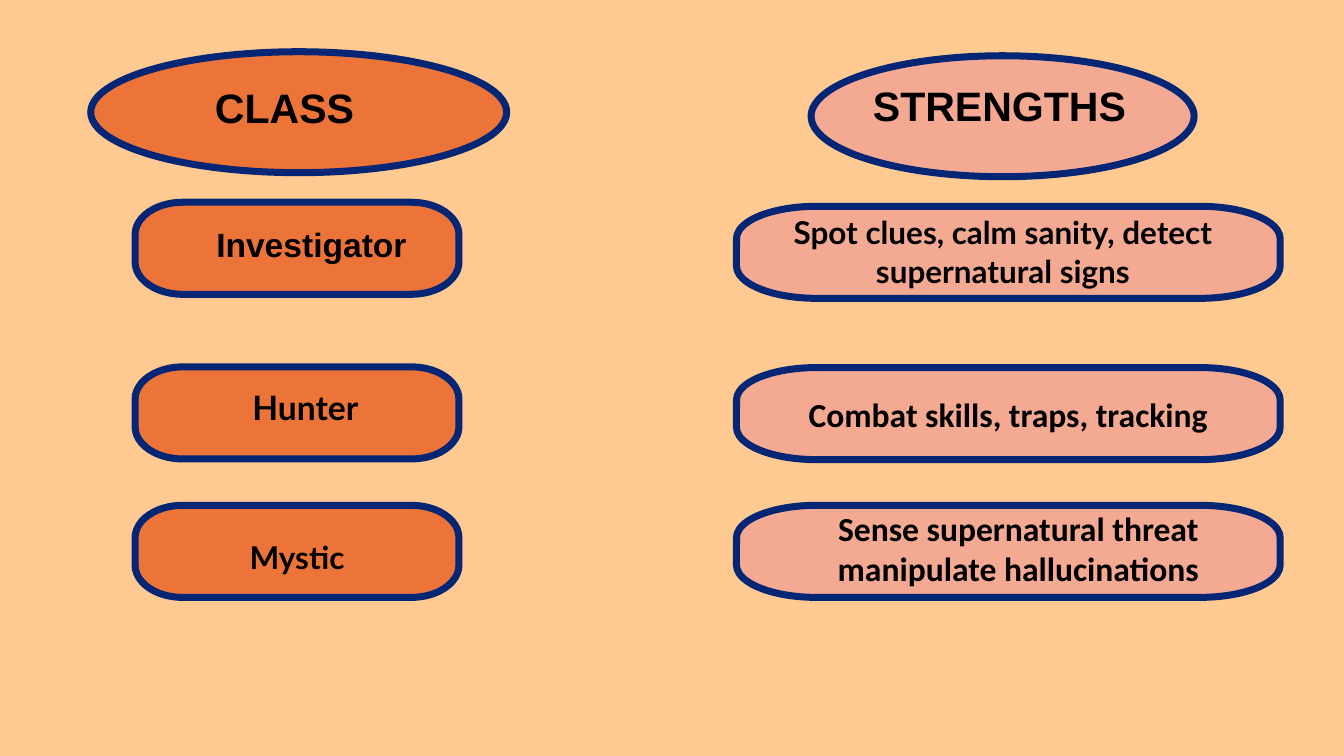
from dataclasses import dataclass

from lxml import etree
from pptx import Presentation
from pptx.dml.color import RGBColor
from pptx.enum.shapes import MSO_SHAPE
from pptx.enum.text import MSO_ANCHOR, PP_ALIGN
from pptx.oxml.ns import qn
from pptx.util import Inches, Pt


@dataclass(frozen=True)
class Theme:
    background = RGBColor.from_string("FFCA92")
    orange = RGBColor.from_string("ED7439")
    pink = RGBColor.from_string("F4A993")
    navy = RGBColor.from_string("052674")
    black = RGBColor.from_string("000000")
    outline = Pt(7.5)
    heading = Pt(44)
    body = Pt(36)
    compact = Pt(33.7)


theme = Theme()
NO_TABLE_STYLE = "{2D5ABB26-0587-4C30-8999-92F81FD0307C}"
PANEL_HEIGHT, CORNER_HEIGHT = 1.37, 0.48
QUARTER_TURN = 90 * 60000


def paint(shape, color):
    shape.shadow.inherit = False
    shape.fill.solid()
    shape.fill.fore_color.rgb = color
    shape.line.color.rgb = theme.navy
    shape.line.width = theme.outline


def write(frame, text, size, font, align=PP_ALIGN.CENTER, spacing=None):
    paragraph = frame.paragraphs[0]
    paragraph.text = text
    paragraph.alignment = align
    paragraph.line_spacing = spacing
    paragraph.font.size = size
    paragraph.font.name = font
    paragraph.font.bold = True
    paragraph.font.color.rgb = theme.black


prs = Presentation()
prs.slide_width, prs.slide_height = Inches(20), Inches(11.25)
slide = prs.slides.add_slide(prs.slide_layouts[6])
slide.background.fill.solid()
slide.background.fill.fore_color.rgb = theme.background
shapes = slide.shapes

# Heading ovals
for left, top, width, color in [
    (1.35, 0.77, 6.19, theme.orange),
    (12.07, 0.83, 5.7, theme.pink),
]:
    oval = shapes.add_shape(
        MSO_SHAPE.OVAL, Inches(left), Inches(top), Inches(width), Inches(1.8)
    )
    paint(oval, color)

# Panels with elliptical corners, one column per heading
for left, width, corner_width, color, tops in [
    (2.01, 4.82, 0.71, theme.orange, (3.01, 5.46, 7.52)),
    (10.96, 8.09, 1.19, theme.pink, (3.07, 5.47, 7.52)),
]:
    for top in tops:
        right, bottom = left + width, top + PANEL_HEIGHT
        near_x, far_x = left + corner_width, right - corner_width
        near_y, far_y = top + CORNER_HEIGHT, bottom - CORNER_HEIGHT
        points = [
            (Inches(x), Inches(y))
            for x, y in [
                (right, far_y), (far_x, bottom), (near_x, bottom), (left, far_y),
                (left, near_y), (near_x, top), (far_x, top), (right, near_y),
            ]
        ]
        builder = shapes.build_freeform(*points[0])
        builder.add_line_segments(points[1:], close=True)
        panel = builder.convert_to_shape()
        paint(panel, color)

        # Every other segment cuts a corner: bend it into a quarter ellipse
        segments = list(panel._element.iter(qn("a:lnTo")))
        for quarter, segment in enumerate(segments[::2]):
            arc = etree.Element(
                qn("a:arcTo"),
                wR=str(Inches(corner_width)),
                hR=str(Inches(CORNER_HEIGHT)),
                stAng=str(quarter * QUARTER_TURN),
                swAng=str(QUARTER_TURN),
            )
            segment.getparent().replace(segment, arc)

# Panel texts
TOP, MIDDLE = MSO_ANCHOR.TOP, MSO_ANCHOR.MIDDLE
for text, box, size, font, spacing, anchor, inset in [
    ("Hunter", (2.92, 5.74, 3.25, 0.88), theme.body, "Lato", 1.03, TOP, 0),
    ("Mystic", (3.1, 7.99, 2.64, 0.58), theme.compact, "Lato", 1.03, TOP, 0),
    ("Spot clues, calm sanity, detect supernatural signs",
     (11.3, 3.16, 7.25, 1.28), theme.compact, "Lato", 1.03, TOP, 0),
    ("Combat skills, traps, tracking",
     (10.96, 5.24, 8.09, 1.33), theme.body, "Calibri", 1.87, MIDDLE, 0.05),
    ("Sense supernatural threat manipulate hallucinations",
     (11.26, 7.52, 7.79, 1.28), theme.body, "Calibri", None, MIDDLE, 0.05),
]:
    frame = shapes.add_textbox(*map(Inches, box)).text_frame
    frame.word_wrap = True
    frame.vertical_anchor = anchor
    frame.margin_left = frame.margin_right = Inches(inset)
    frame.margin_top = frame.margin_bottom = Inches(inset)
    write(frame, text, size, font, spacing=spacing)

# Single-cell tables
for text, box, size, align in [
    ("STRENGTHS", (12.99, 1.12, 3.86, 0.94), theme.heading, PP_ALIGN.LEFT),
    ("CLASS", (2.31, 1.14, 3.85, 0.97), theme.heading, PP_ALIGN.CENTER),
    ("Investigator", (3.1, 3.02, 3.07, 1.28), theme.body, PP_ALIGN.CENTER),
]:
    table = shapes.add_table(1, 1, *map(Inches, box)).table
    table.first_row = table.horz_banding = False
    table._tbl.tblPr.find(qn("a:tableStyleId")).text = NO_TABLE_STYLE
    cell = table.cell(0, 0)
    cell.fill.background()
    cell.vertical_anchor = MIDDLE
    cell.margin_left = cell.margin_right = 0
    cell.margin_top = cell.margin_bottom = 0
    write(cell.text_frame, text, size, "Arial", align)

prs.save("out.pptx")
